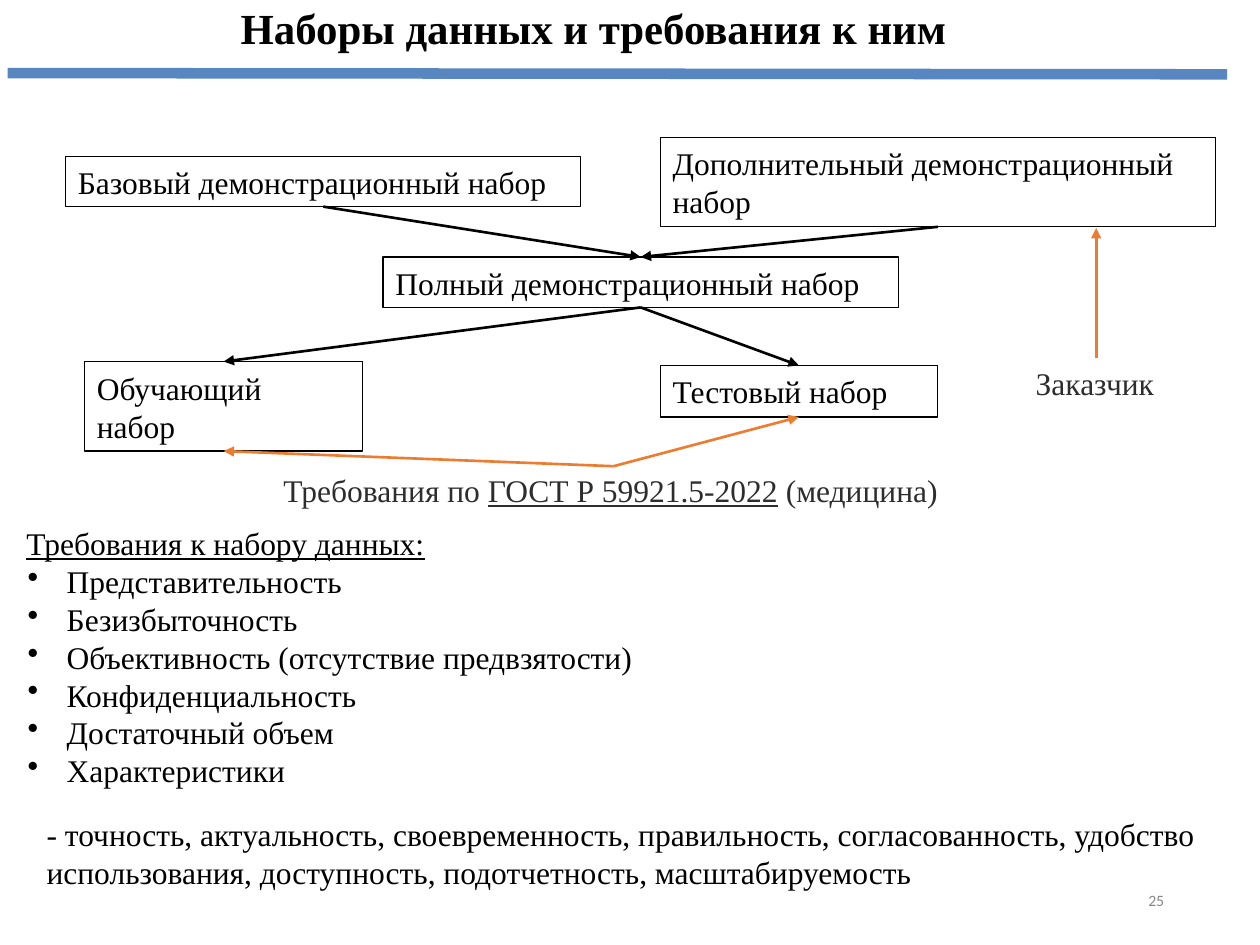
import dataclasses
import typing

import pptx
import pptx.dml.color
import pptx.enum.shapes
import pptx.enum.text
import pptx.oxml.ns
import pptx.util
from lxml import etree

COLS, ROWS = 100, 75
BLACK, GREY, ORANGE, BLUE = "000000", "2E2D2D", "EC7C30", "5786C0"
SERIF = "Times New Roman"

prs = pptx.Presentation()
prs.slide_width = pptx.util.Inches(10)
prs.slide_height = pptx.util.Inches(7.5)
s = prs.slides.add_slide(prs.slide_layouts[6])


@dataclasses.dataclass(frozen=True)
class Box:
    text: str
    col: float
    row: float
    cols: float
    rows: float
    right_inset: float = 0


@dataclasses.dataclass(frozen=True)
class Run:
    text: str
    color: str = BLACK
    underline: bool = False
    size: float = 18
    bold: bool = False
    font: str = SERIF


@dataclasses.dataclass(frozen=True)
class Para:
    runs: typing.Tuple[Run, ...]
    line_spacing: typing.Any = 1.0
    before: float = 0
    left: float = 0
    bullet: bool = False
    right: bool = False


def x(cols: float) -> int:
    return round(prs.slide_width * cols / COLS)


def y(rows: float) -> int:
    return round(prs.slide_height * rows / ROWS)


def rgb(color: str) -> pptx.dml.color.RGBColor:
    return pptx.dml.color.RGBColor.from_string(color)


def write(tf, paras: typing.Sequence[Para], insets=(0, 0.1, 0, 0), anchor="TOP") -> None:
    left, top, right, bottom = insets
    frame = {
        "word_wrap": True,
        "margin_left": x(left),
        "margin_top": y(top),
        "margin_right": x(right),
        "margin_bottom": y(bottom),
        "vertical_anchor": getattr(pptx.enum.text.MSO_ANCHOR, anchor),
    }
    for name, value in frame.items():
        setattr(tf, name, value)
    for i, para in enumerate(paras):
        p = tf.paragraphs[0] if i == 0 else tf.add_paragraph()
        align = pptx.enum.text.PP_ALIGN
        layout = {
            "alignment": align.RIGHT if para.right else align.LEFT,
            "line_spacing": para.line_spacing,
            "space_before": pptx.util.Pt(para.before),
        }
        for name, value in layout.items():
            setattr(p, name, value)
        pPr = p._p.get_or_add_pPr()
        pPr.set("marL", str(x(para.left)))
        pPr.set("indent", str(-x(3.1) if para.bullet else 0))
        if para.bullet:
            bu = etree.SubElement(pPr, pptx.oxml.ns.qn("a:buChar"))
            bu.set("char", "•")
        for run in para.runs:
            r = p.add_run()
            r.text = run.text
            style = {
                "name": run.font,
                "size": pptx.util.Pt(run.size),
                "bold": run.bold,
                "underline": run.underline,
            }
            for name, value in style.items():
                setattr(r.font, name, value)
            r.font.color.rgb = rgb(run.color)


def label(col: float, row: float, cols: float, rows: float, *paras: Para) -> None:
    write(s.shapes.add_textbox(x(col), y(row), x(cols), y(rows)).text_frame, paras)


def draw_box(box: Box):
    rect = pptx.enum.shapes.MSO_SHAPE.RECTANGLE
    sp = s.shapes.add_shape(rect, x(box.col), y(box.row), x(box.cols), y(box.rows))
    sp.shadow.inherit = False
    sp.fill.background()
    sp.line.color.rgb = rgb(BLACK)
    sp.line.width = pptx.util.Pt(0.75)
    insets = (1, 0, box.right_inset, 0)
    write(sp.text_frame, [Para((Run(box.text),), 1.01)], insets, "MIDDLE")
    return sp


def line(start, end, color: str, width: float = 1.5, arrow: bool = True):
    straight = pptx.enum.shapes.MSO_CONNECTOR.STRAIGHT
    c = s.shapes.add_connector(straight, x(start[0]), y(start[1]), x(end[0]), y(end[1]))
    c.line.color.rgb = rgb(color)
    c.line.width = pptx.util.Pt(width)
    if arrow:
        head = etree.SubElement(c.line._get_or_add_ln(), pptx.oxml.ns.qn("a:tailEnd"))
        head.set("type", "triangle")
    etree.SubElement(c._element.spPr, pptx.oxml.ns.qn("a:effectLst"))
    return c


TOP, BOTTOM = 0, 2
BOXES = {
    "base": Box("Базовый демонстрационный набор", 5.2, 12.4, 40.9, 4),
    "extra": Box("Дополнительный демонстрационный набор", 52.4, 10.9, 44.1, 7.1),
    "full": Box("Полный демонстрационный набор", 30.4, 20.4, 40.9, 4),
    "train": Box("Обучающий набор", 6.7, 28.7, 22.1, 7.1, 7),
    "test": Box("Тестовый набор", 52.4, 29, 22, 4.1),
}
FLOWS = [("base", "full"), ("extra", "full"), ("full", "train"), ("full", "test")]
QUALITIES = [
    "Представительность",
    "Безизбыточность",
    "Объективность (отсутствие предвзятости)",
    "Конфиденциальность",
    "Достаточный объем",
    "Характеристики",
]
DETAILS = (
    "- точность, актуальность, своевременность, правильность, согласованность, "
    "удобство использования, доступность, подотчетность, масштабируемость"
)
STANDARD = (48.7, 37)

title = Run("Наборы данных и требования к ним", size=24.5, bold=True)
label(19.1, 0, 58.5, 4.4, Para((title,), before=1.2))
line((0.6, 5.8), (97.4, 5.9), BLUE, 6, False)

shapes = {name: draw_box(box) for name, box in BOXES.items()}
for source, target in FLOWS:
    flow = line((0, 0), (1, 1), BLACK)
    flow.begin_connect(shapes[source], BOTTOM)
    flow.end_connect(shapes[target], TOP)
for target in ("train", "test"):
    line(STANDARD, (0, 0), ORANGE).end_connect(shapes[target], BOTTOM)
line((87, 28.4), (87, 18.1), ORANGE)

label(82.2, 28.8, 10.5, 3.3, Para((Run("Заказчик", GREY),), before=1))
standard = (
    Run("Требования по ", GREY),
    Run("ГОСТ Р 59921.5-2022", GREY, True),
    Run(" (медицина)", GREY),
)
label(
    2, 36, 94, 36.4,
    Para(standard, 1.42, 1, 20.5),
    Para((Run("Требования к набору данных:", underline=True),), 1.42, 0, 0.1),
    *(Para((Run(q),), pptx.util.Pt(21.5), 0.1, 3.3, True) for q in QUALITIES),
    Para((Run(DETAILS),), 1.01, 14.6, 1.7),
)
label(88, 70.6, 4.4, 1.8, Para((Run("25", "888888", size=9, font="Calibri"),), right=True))

prs.save("out.pptx")
